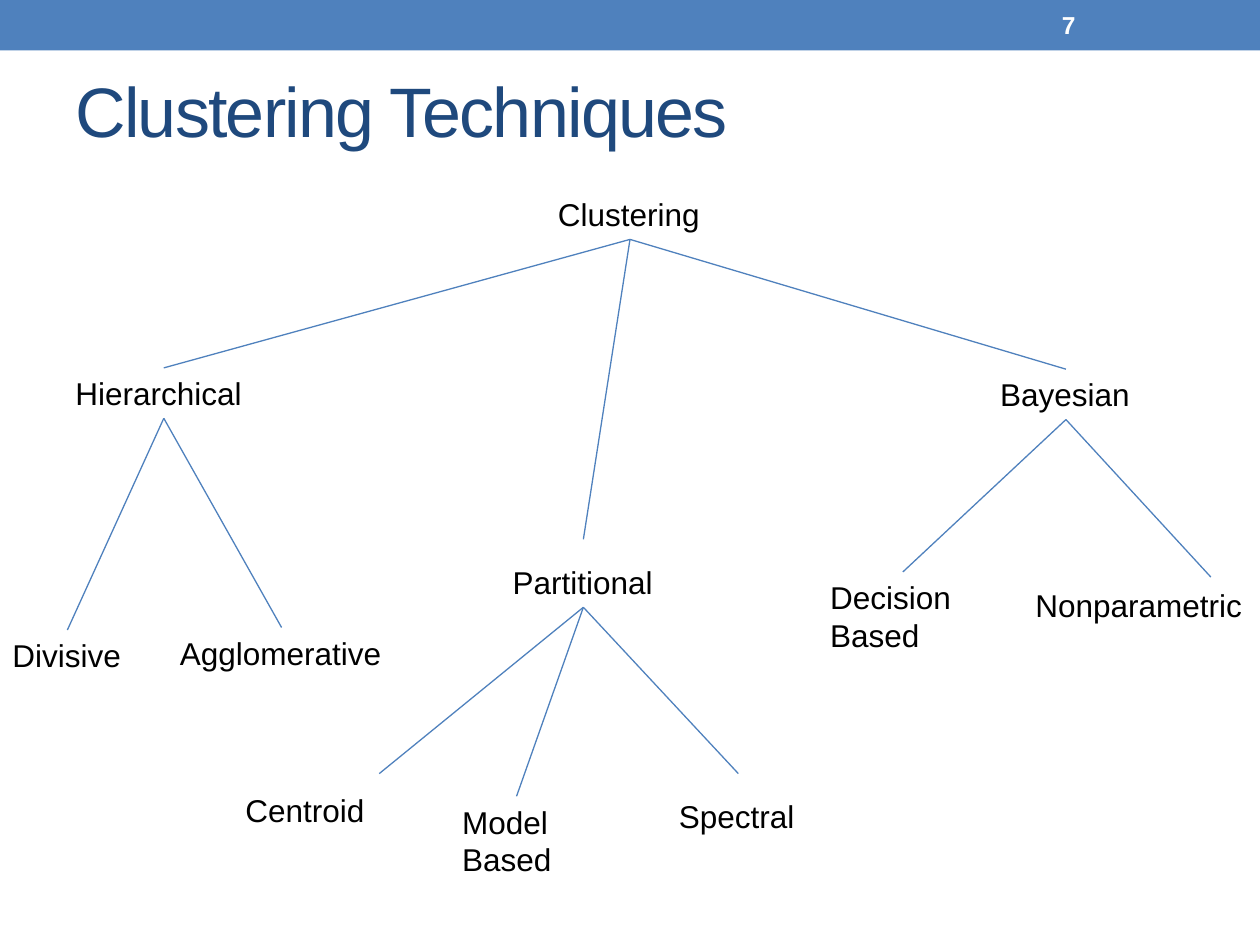
from dataclasses import dataclass
from typing import Optional

from lxml import etree
from pptx import Presentation
from pptx.dml.color import RGBColor
from pptx.enum.shapes import MSO_CONNECTOR, MSO_SHAPE
from pptx.enum.text import MSO_ANCHOR, MSO_AUTO_SIZE
from pptx.oxml.ns import qn
from pptx.util import Inches, Pt

STRAIGHT = MSO_CONNECTOR.STRAIGHT
RECTANGLE = MSO_SHAPE.RECTANGLE
MIDDLE = MSO_ANCHOR.MIDDLE
TOP = MSO_ANCHOR.TOP
GROW = MSO_AUTO_SIZE.SHAPE_TO_FIT_TEXT


@dataclass(frozen=True)
class Theme:
    font: str = "Arial"
    accent: RGBColor = RGBColor(0x4F, 0x81, 0xBD)
    heading: RGBColor = RGBColor(0x1F, 0x49, 0x7D)
    body: RGBColor = RGBColor(0, 0, 0)
    inverse: RGBColor = RGBColor(0xFF, 0xFF, 0xFF)
    heading_size: int = 40
    body_size: int = 18
    number_size: int = 14
    branch_width: float = 0.75


@dataclass(frozen=True)
class Node:
    label: str
    left: float
    top: float
    width: float
    parent: Optional[str] = None
    tip: Optional[tuple] = None
    height: float = 0.4

    @property
    def center(self):
        return self.left + self.width / 2

    @property
    def branch_start(self):
        return self.center, self.top + self.height

    @property
    def branch_end(self):
        return self.tip or (self.center, self.top)


THEME = Theme()

TECHNIQUES = [
    Node("Clustering", 4.33, 1.5, 1.34),
    Node("Hierarchical", 0.5, 2.92, 1.6, "Clustering"),
    Node("Partitional", 3.97, 4.42, 1.32, "Clustering", (4.63, 4.28)),
    Node("Bayesian", 7.84, 2.93, 1.24, "Clustering"),
    Node("Divisive", 0, 5, 1.07, "Hierarchical"),
    Node("Agglomerative", 1.33, 4.98, 1.81, "Hierarchical"),
    Node("Centroid", 1.85, 6.23, 1.16, "Partitional", (3.01, 6.14)),
    Node("Model Based", 3.57, 6.32, 1.06, "Partitional", height=0.71),
    Node("Spectral", 5.29, 6.28, 1.13, "Partitional", (5.86, 6.14)),
    Node("Decision Based", 6.49, 4.54, 1.35, "Bayesian", height=0.71),
    Node("Nonparametric", 8.12, 4.6, 1.86, "Bayesian", (9.61, 4.58)),
]


def add_text(slide, text, box, size, color, bold=False, anchor=MIDDLE):
    """Add a wrapped text box and return its frame."""
    frame = slide.shapes.add_textbox(*map(Inches, box)).text_frame
    frame.word_wrap = True
    frame.vertical_anchor = anchor
    frame.text = text
    font = frame.paragraphs[0].runs[0].font
    font.name, font.size, font.bold = THEME.font, Pt(size), bold
    font.color.rgb = color
    return frame


def add_header(slide):
    """Add the top band, the slide number and the title."""
    band = slide.shapes.add_shape(RECTANGLE, 0, 0, Inches(10), Inches(0.4))
    band.shadow.inherit = False
    band.fill.solid()
    band.fill.fore_color.rgb = THEME.accent
    band.line.fill.background()
    add_text(slide, "7", (8.33, 0.02, 1.17, 0.36),
             THEME.number_size, THEME.inverse, bold=True)
    title = add_text(slide, "Clustering Techniques", (0.5, 0.33, 9, 1.08),
                     THEME.heading_size, THEME.heading)
    title.paragraphs[0].runs[0].font._element.set("spc", "-100")


def add_node(slide, node):
    """Add the label of one technique."""
    frame = add_text(slide, node.label,
                     (node.left, node.top, node.width, node.height),
                     THEME.body_size, THEME.body, anchor=TOP)
    frame.word_wrap = " " in node.label
    frame.auto_size = GROW


def add_branch(slide, parent, child):
    """Draw the line from a technique to one of its kinds."""
    ends = map(Inches, parent.branch_start + child.branch_end)
    branch = slide.shapes.add_connector(STRAIGHT, *ends)
    branch.line.color.rgb = THEME.accent
    branch.line.width = Pt(THEME.branch_width)
    etree.SubElement(branch._element.spPr, qn("a:effectLst"))


def main():
    """Build the slide and save it."""
    deck = Presentation()
    deck.slide_width, deck.slide_height = Inches(10), Inches(7.5)
    slide = deck.slides.add_slide(deck.slide_layouts[6])
    add_header(slide)
    by_label = {node.label: node for node in TECHNIQUES}
    for node in TECHNIQUES:
        add_node(slide, node)
        if node.parent:
            add_branch(slide, by_label[node.parent], node)
    deck.save("out.pptx")


if __name__ == "__main__":
    main()
